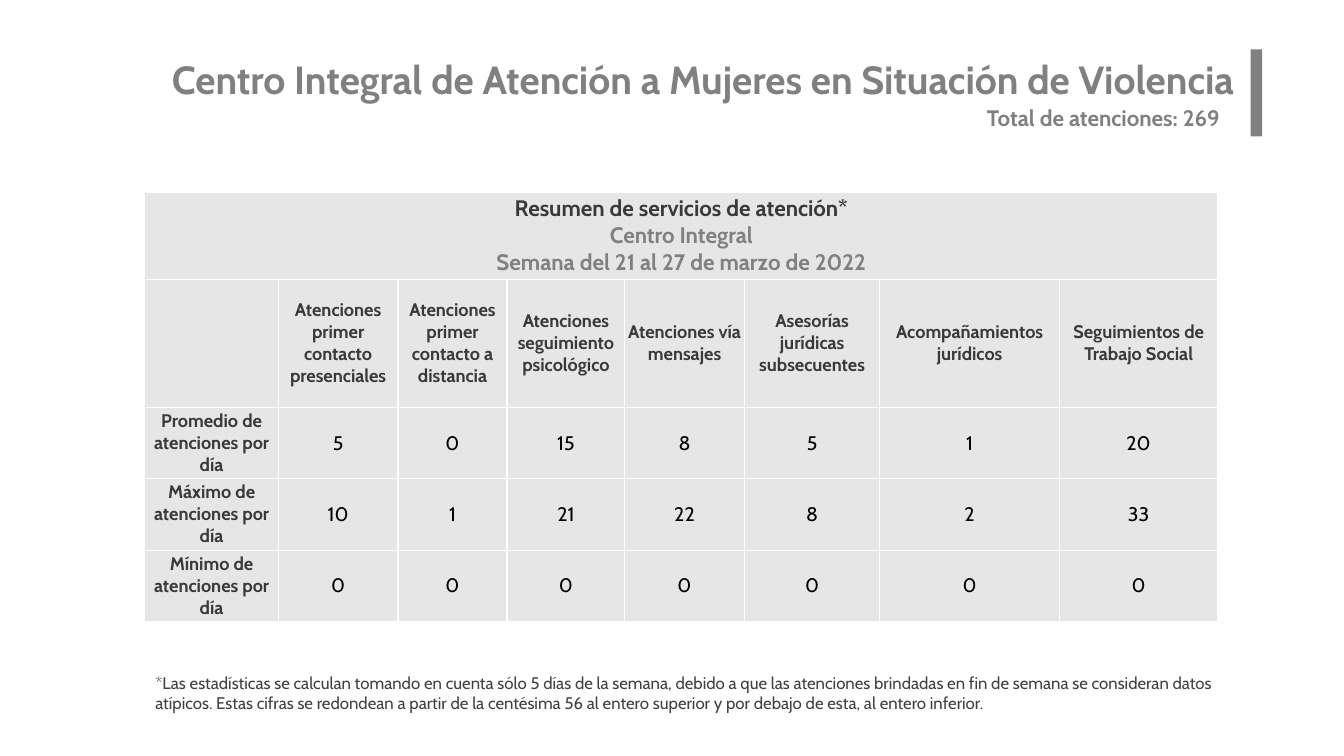
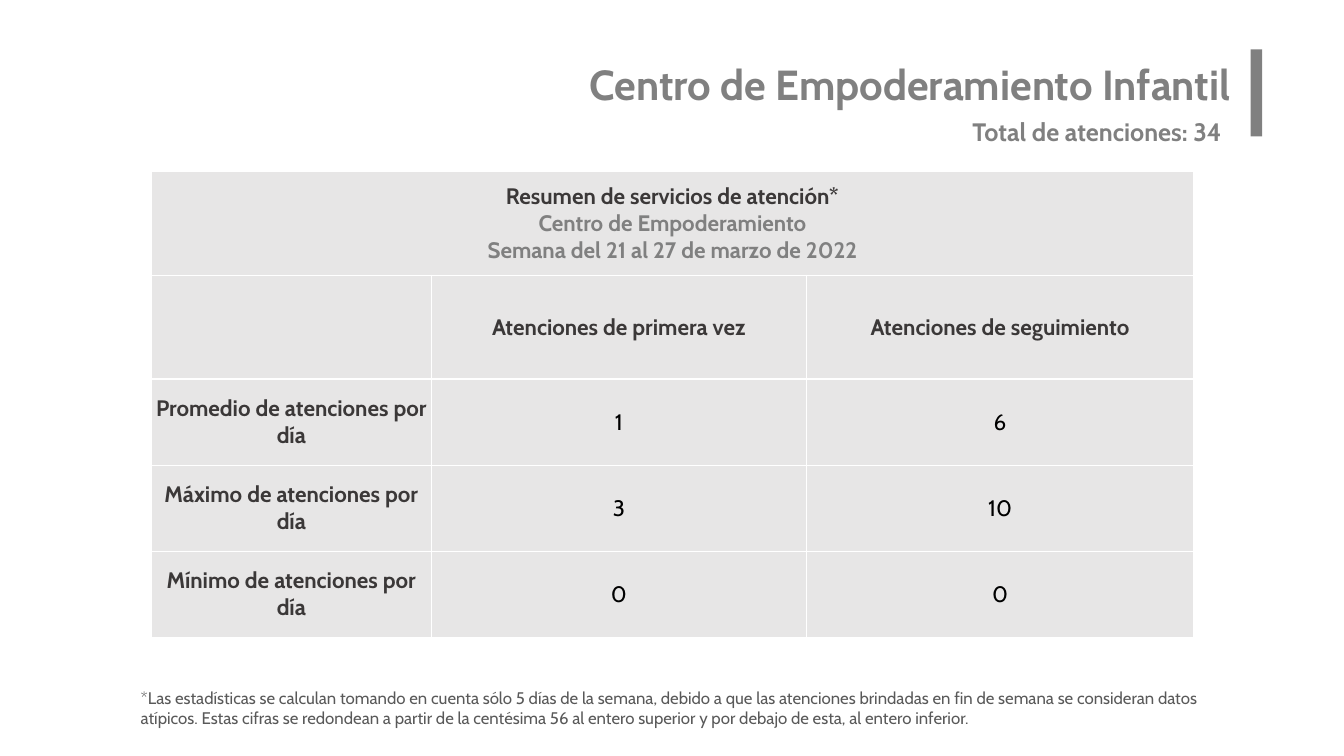
import lxml.etree
import pptx
import pptx.dml.color
import pptx.enum.shapes
import pptx.enum.text
import pptx.oxml.ns
import pptx.util

PX = 9525
ALIGN = pptx.enum.text.PP_ALIGN
ANCHOR = pptx.enum.text.MSO_ANCHOR

THEME = {
    "font": "Cabin",
    "accent": "808080",
    "heading": "3B3838",
    "value": "000000",
    "cell": "E7E6E6",
    "border": "FFFFFF",
    "border_points": 1,
    "table_title_size": 16,
    "note_size": 12,
}
PAGE_SIZE = (1280, 720)
BAR = (1191, 47, 11, 83)
TITLE_INSETS = (19, 10, 19, 10)
TEXT_INSETS = (10, 5, 10, 5)
TABLE_TITLE = "Resumen de servicios de atención*"
WEEK = "Semana del 21 al 27 de marzo de 2022"
NOTE = (
    "*Las estadísticas se calculan tomando en cuenta sólo 5 días de la semana, "
    "debido a que las atenciones brindadas en fin de semana se consideran datos "
    "atípicos. Estas cifras se redondean a partir de la centésima 56 al entero "
    "superior y por debajo de esta, al entero inferior."
)
ROW_LABELS = [
    "Promedio de atenciones por día",
    "Máximo de atenciones por día",
    "Mínimo de atenciones por día",
]

PAGES = [
    {
        "title": "Centro Integral de Atención a Mujeres en Situación de Violencia",
        "title_box": (60, 43, 1134, 84),
        "title_size": 28,
        "total": "Total de atenciones: 269",
        "total_box": (930, 94, 274, 36),
        "total_size": 16,
        "center": "Centro Integral",
        "table_at": (138, 183),
        "columns": [127, 114, 104, 112, 114, 129, 171, 151],
        "rows": [83, 122, 68, 68, 68],
        "label_size": 13,
        "value_size": 14,
        "headers": [
            "Atenciones primer contacto presenciales",
            "Atenciones primer contacto a distancia",
            "Atenciones seguimiento psicológico",
            "Atenciones vía mensajes",
            "Asesorías jurídicas subsecuentes",
            "Acompañamientos jurídicos",
            "Seguimientos de Trabajo Social",
        ],
        "values": [
            [5, 0, 15, 8, 5, 1, 20],
            [10, 1, 21, 22, 8, 2, 33],
            [0, 0, 0, 0, 0, 0, 0],
        ],
        "note_box": (138, 636, 1038, 48),
        "note_color": "404040",
    },
    {
        "title": "Centro de Empoderamiento Infantil",
        "title_box": (205, 46, 986, 84),
        "title_size": 30,
        "total": "Total de atenciones: 34",
        "total_box": (916, 106, 276, 38),
        "total_size": 18,
        "center": "Centro de Empoderamiento",
        "table_at": (144, 163),
        "columns": [267, 357, 369],
        "rows": [99, 99, 82, 82, 82],
        "label_size": 16,
        "value_size": 16,
        "headers": ["Atenciones de primera vez", "Atenciones de seguimiento"],
        "values": [[1, 6], [3, 10], [0, 0]],
        "note_box": (124, 650, 1033, 48),
        "note_color": "595959",
    },
]


def scaled(lengths):
    return [length * PX for length in lengths]


def rgb(color):
    return pptx.dml.color.RGBColor.from_string(color)


def write(frame, text, *, size, color, bold=False, align=ALIGN.LEFT, first=True):
    para = frame.paragraphs[0] if first else frame.add_paragraph()
    para.alignment = align
    span = para.add_run()
    span.text = text
    span.font.name = THEME["font"]
    span.font.size = pptx.util.Pt(size)
    span.font.bold = bold
    span.font.color.rgb = rgb(color)


def add_text(page, place, text, insets=TEXT_INSETS, **style):
    frame = page.shapes.add_textbox(*scaled(place)).text_frame
    frame.word_wrap = True
    (frame.margin_left, frame.margin_top,
     frame.margin_right, frame.margin_bottom) = scaled(insets)
    write(frame, text, **style)


def add_bar(page):
    bar = page.shapes.add_shape(pptx.enum.shapes.MSO_SHAPE.RECTANGLE, *scaled(BAR))
    bar.shadow.inherit = False
    bar.fill.solid()
    bar.fill.fore_color.rgb = rgb(THEME["accent"])
    bar.line.fill.background()


def format_cell(cell):
    cell.vertical_anchor = ANCHOR.MIDDLE
    cell.margin_left = cell.margin_top = cell.margin_right = cell.margin_bottom = 0
    cell.fill.solid()
    cell.fill.fore_color.rgb = rgb(THEME["cell"])
    qn = pptx.oxml.ns.qn
    properties = cell._tc.get_or_add_tcPr()
    for position, side in enumerate(("lnL", "lnR", "lnT", "lnB")):
        border = lxml.etree.Element(qn(f"a:{side}"))
        border.set("w", str(pptx.util.Pt(THEME["border_points"])))
        fill = lxml.etree.SubElement(border, qn("a:solidFill"))
        lxml.etree.SubElement(fill, qn("a:srgbClr")).set("val", THEME["border"])
        properties.insert(position, border)


def add_summary(page, content):
    columns, rows = content["columns"], content["rows"]
    place = (*content["table_at"], sum(columns), sum(rows))
    table = page.shapes.add_table(len(rows), len(columns), *scaled(place)).table
    table.first_row = table.horz_banding = False
    for column, width in zip(table.columns, columns):
        column.width = width * PX
    for row, height in zip(table.rows, rows):
        row.height = height * PX
    for cell in table.iter_cells():
        format_cell(cell)

    heading = table.cell(0, 0)
    heading.merge(table.cell(0, len(columns) - 1))
    lines = [
        (TABLE_TITLE, THEME["heading"]),
        (content["center"], THEME["accent"]),
        (WEEK, THEME["accent"]),
    ]
    for index, (text, color) in enumerate(lines):
        write(heading.text_frame, text, size=THEME["table_title_size"], color=color,
              bold=True, align=ALIGN.CENTER, first=index == 0)

    label = {"size": content["label_size"], "color": THEME["heading"], "bold": True}
    value = {"size": content["value_size"], "color": THEME["value"]}
    grid = [["", *content["headers"]]]
    grid += [[name, *numbers] for name, numbers in zip(ROW_LABELS, content["values"])]
    for row, entries in enumerate(grid, start=1):
        for column, entry in enumerate(entries):
            if entry != "":
                style = label if row == 1 or column == 0 else value
                write(table.cell(row, column).text_frame, str(entry),
                      align=ALIGN.CENTER, **style)


def build_page(deck, content):
    page = deck.slides.add_slide(deck.slide_layouts[6])
    add_bar(page)
    add_summary(page, content)
    add_text(page, content["title_box"], content["title"], TITLE_INSETS,
             size=content["title_size"], color=THEME["accent"], bold=True,
             align=ALIGN.RIGHT)
    add_text(page, content["total_box"], content["total"],
             size=content["total_size"], color=THEME["accent"], bold=True)
    add_text(page, content["note_box"], NOTE,
             size=THEME["note_size"], color=content["note_color"])


def main():
    deck = pptx.Presentation()
    deck.slide_width, deck.slide_height = scaled(PAGE_SIZE)
    for content in PAGES:
        build_page(deck, content)
    deck.save("out.pptx")


if __name__ == "__main__":
    main()
